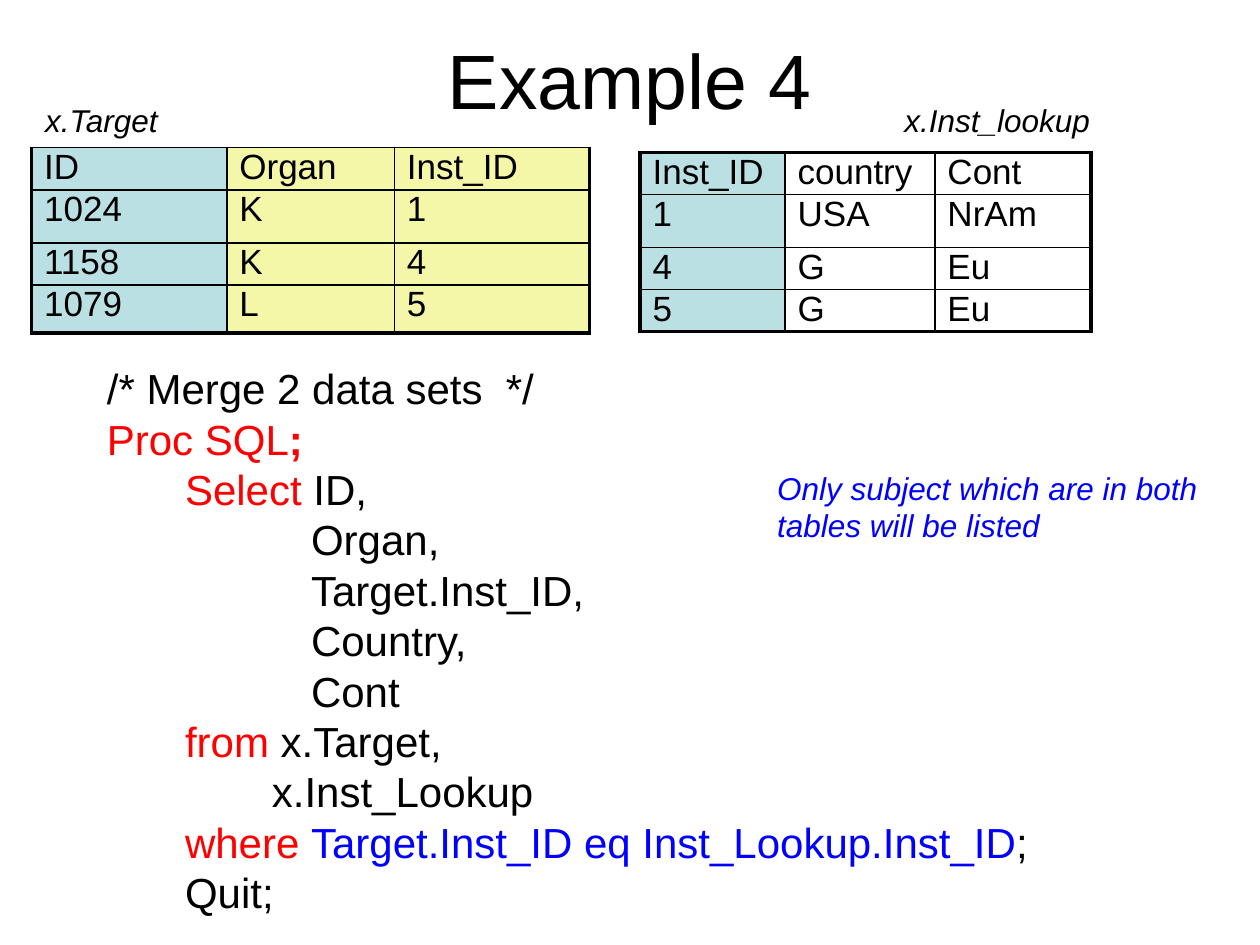
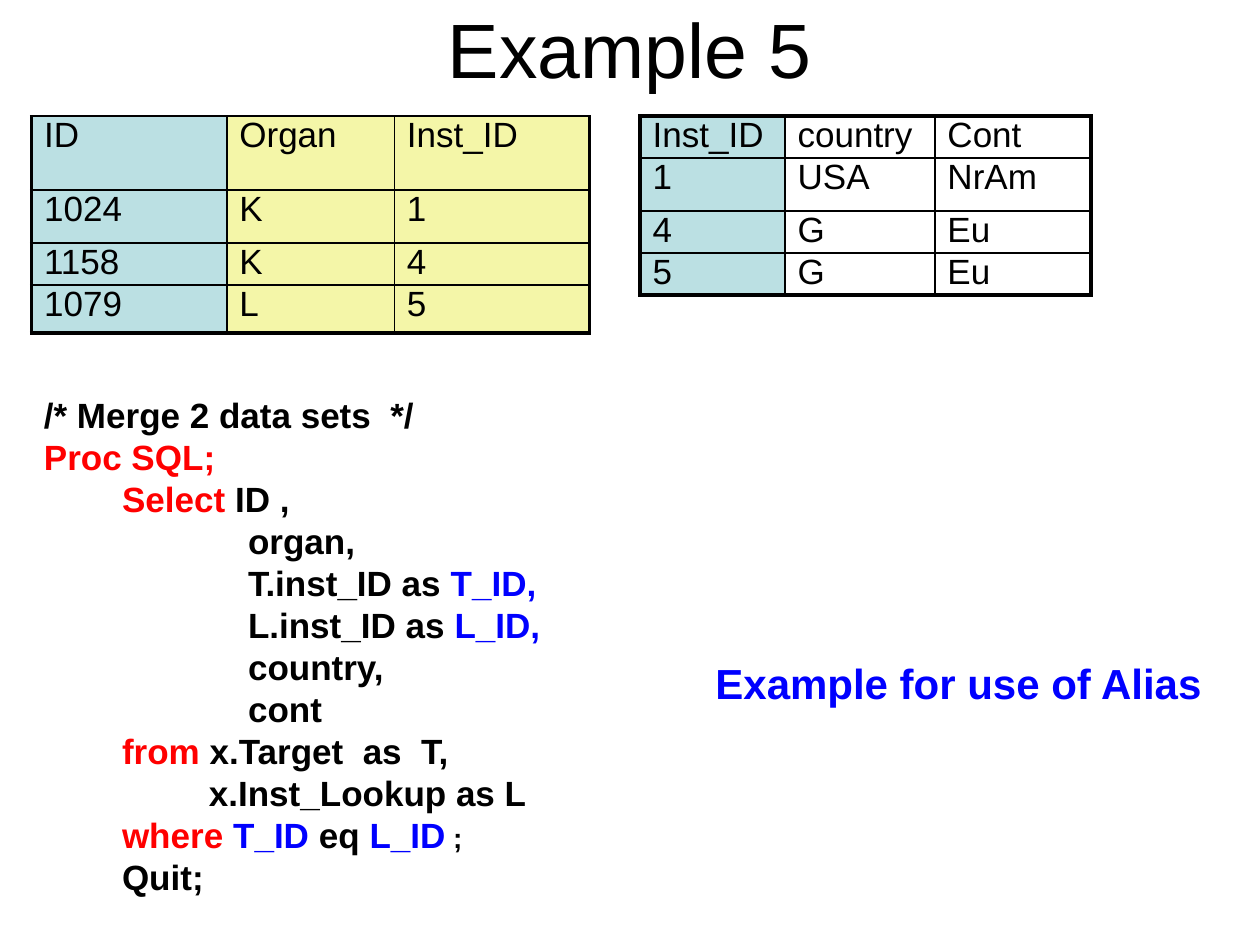
from dataclasses import dataclass

from lxml import etree
from pptx import Presentation
from pptx import util as u
from pptx.dml import color
from pptx.enum import text
from pptx.oxml import ns


@dataclass(frozen=True)
class Theme:
    font: str = "Arial"
    black: str = "000000"
    keyword: str = "FF0000"
    accent: str = "0000FF"
    key_fill: str = "BBE0E3"
    data_fill: str = "F4F6A8"
    title_size: int = 44
    large_size: int = 24
    body_size: int = 20
    label_size: int = 18
    small_size: int = 16
    thick: float = 2.25
    thin: float = 1


T = Theme()
KEY = {"colour": T.keyword}
ACCENT = {"colour": T.accent}
LABEL = {"size": T.label_size, "italic": True}

# Left indent of each code level, in inches
INDENTS = [0, 0.62, 1.31, 1.62]

TARGET = {
    "rows": [("ID", "Organ", "Inst_ID"), ("1024", "K", "1"),
             ("1158", "K", "4"), ("1079", "L", "5")],
    "left": 0.25, "widths": [1.55, 1.33, 1.55],
    "fills": [T.key_fill, T.data_fill, T.data_fill], "top_line": T.thin,
}
LOOKUP = {
    "rows": [("Inst_ID", "country", "Cont"), ("1", "USA", "NrAm"),
             ("4", "G", "Eu"), ("5", "G", "Eu")],
    "left": 5.08, "widths": [1.15, 1.19, 1.24],
    "fills": [T.key_fill, None, None], "top_line": T.thick,
}
LOOKUP_HEIGHTS = [0.33, 0.42, 0.33, 0.33]

# A code line is (indent level, run, ...); a run is (text, style)
MERGE_CODE = [
    (0, ("/* Merge 2 data sets  */", {})),
    (0, ("Proc SQL", KEY), (";", {"colour": T.keyword, "bold": True})),
    (1, ("Select", KEY), (" ID,", {})),
    (3, ("Organ,", {})),
    (3, ("Target.Inst_ID,", {})),
    (3, ("Country,", {})),
    (3, ("Cont", {})),
    (1, ("from ", KEY), ("x.Target,", {})),
    (2, ("x.Inst_Lookup", {})),
    (1, ("where ", KEY), ("Target.Inst_ID eq Inst_Lookup.Inst_ID", ACCENT), (";", {})),
    (1, ("Quit;", {})),
]
ALIAS_CODE = [
    (0, ("/* Merge 2 data sets  */", {})),
    (0, ("Proc SQL;", KEY)),
    (1, ("Select", KEY), (" ID ,", {})),
    (3, ("organ,", {})),
    (3, ("T.inst_ID as ", {}), ("T_ID,", ACCENT)),
    (3, ("L.inst_ID as ", {}), ("L_ID,", ACCENT)),
    (3, ("country,", {})),
    (3, ("cont", {})),
    (1, ("from ", KEY), ("x.Target  as  T,", {})),
    (2, ("x.Inst_Lookup as L", {})),
    (1, ("where ", KEY), ("T_ID ", ACCENT), ("eq ", {}), ("L_ID", ACCENT),
     (" ;", {"size": T.small_size})),
    (1, ("Quit;", {})),
]

# A note is (text, box, style, wrap)
SLIDES = [
    {
        "title": "Example 4", "title_top": 0,
        "tables": [(TARGET, 1.17, [0.34, 0.42, 0.33, 0.38]),
                   (LOOKUP, 1.21, LOOKUP_HEIGHTS)],
        "code": MERGE_CODE, "code_box": (0.75, 2.83, 7.58, 4.6),
        "code_style": {"size": T.large_size},
        "notes": [
            ("Only subject which are in both tables will be listed",
             (6.07, 3.67, 3.93, 0.7), LABEL | ACCENT, True),
            ("x.Inst_lookup", (7.08, 0.75, 1.69, 0.4), LABEL, False),
            ("x.Target", (0.26, 0.75, 1.1, 0.4), LABEL, False),
        ],
    },
    {
        "title": "Example 5", "title_top": -0.25,
        "tables": [(TARGET, 0.92, [0.59, 0.42, 0.33, 0.38]),
                   (LOOKUP, 0.92, LOOKUP_HEIGHTS)],
        "code": ALIAS_CODE, "code_box": (0.25, 3.07, 4.92, 4.43),
        "code_style": {"size": T.body_size, "bold": True},
        "notes": [
            ("Example for use of Alias", (5.58, 5.17, 4.1, 0.51),
             {"size": T.large_size, "bold": True} | ACCENT, False),
        ],
    },
]


def style_run(r, size=T.body_size, colour=T.black, bold=False, italic=False):
    r.font.name = T.font
    r.font.size = u.Pt(size)
    r.font.color.rgb = color.RGBColor.from_string(colour)
    r.font.bold = bold
    r.font.italic = italic


def add_box(s, box, wrap=True):
    tf = s.shapes.add_textbox(*map(u.Inches, box)).text_frame
    tf.word_wrap = wrap
    return tf


def add_text(s, content, box, style, wrap=True):
    tf = add_box(s, box, wrap)
    tf.text = content
    style_run(tf.paragraphs[0].runs[0], **style)
    return tf


def add_title(s, content, top):
    tf = add_text(s, content, (0.5, top, 9, 1.25), {"size": T.title_size})
    tf.vertical_anchor = text.MSO_ANCHOR.MIDDLE
    tf.paragraphs[0].alignment = text.PP_ALIGN.CENTER


def add_code(s, lines, box, base):
    tf = add_box(s, box)
    for i, (level, *runs) in enumerate(lines):
        p = tf.add_paragraph() if i else tf.paragraphs[0]
        p._p.get_or_add_pPr().set("marL", str(u.Inches(INDENTS[level])))
        for content, style in runs:
            r = p.add_run()
            r.text = content
            style_run(r, **(base | style))


def set_borders(cell, **widths):
    """Draw the cell's edges; call before filling, as lines come first in tcPr."""
    tc_pr = cell._tc.get_or_add_tcPr()
    for side in "LRTB":
        ln = etree.SubElement(tc_pr, ns.qn(f"a:ln{side}"), w=str(u.Pt(widths[side])))
        fill = etree.SubElement(ln, ns.qn("a:solidFill"))
        etree.SubElement(fill, ns.qn("a:srgbClr"), val=T.black)


def add_data_table(s, data, top, heights):
    rows, widths = data["rows"], data["widths"]
    last_row, last_col = len(rows) - 1, len(widths) - 1
    box = (data["left"], top, sum(widths), sum(heights))
    table = s.shapes.add_table(len(rows), len(widths), *map(u.Inches, box)).table
    table.first_row = table.horz_banding = False
    for col, width in zip(table.columns, widths):
        col.width = u.Inches(width)
    for i, (row, height) in enumerate(zip(rows, heights)):
        table.rows[i].height = u.Inches(height)
        for j, (value, fill) in enumerate(zip(row, data["fills"])):
            cell = table.cell(i, j)
            cell.margin_top = cell.margin_bottom = 0
            cell.text = value
            style_run(cell.text_frame.paragraphs[0].runs[0])
            set_borders(cell,
                        L=T.thin if j else T.thick,
                        R=T.thick if j == last_col else T.thin,
                        T=T.thin if i else data["top_line"],
                        B=T.thick if i == last_row else T.thin)
            if fill:
                cell.fill.solid()
                cell.fill.fore_color.rgb = color.RGBColor.from_string(fill)
            else:
                cell.fill.background()


def main():
    prs = Presentation()
    prs.slide_width, prs.slide_height = u.Inches(10), u.Inches(7.5)
    for content in SLIDES:
        s = prs.slides.add_slide(prs.slide_layouts[6])
        add_title(s, content["title"], content["title_top"])
        for table in content["tables"]:
            add_data_table(s, *table)
        add_code(s, content["code"], content["code_box"], content["code_style"])
        for note in content["notes"]:
            add_text(s, *note)
    prs.save("out.pptx")


if __name__ == "__main__":
    main()
